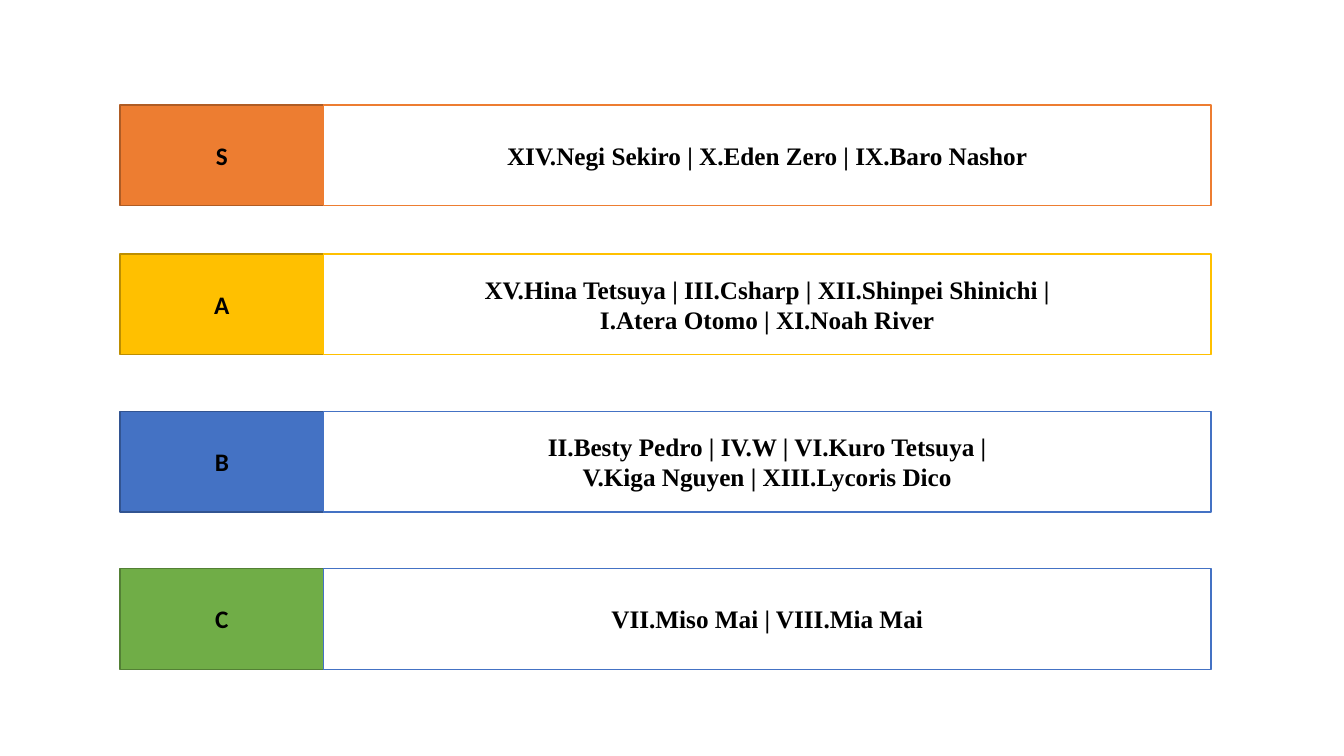
from dataclasses import dataclass

from pptx import Presentation
from pptx.dml.color import RGBColor as RGB
from pptx.enum.shapes import MSO_SHAPE as Shape
from pptx.enum.text import MSO_ANCHOR as Anchor, PP_ALIGN as Align
from pptx.util import Inches, Pt


@dataclass(frozen=True)
class Theme:
    orange: str = "ED7D31"
    orange_dark: str = "AF5C24"
    gold: str = "FFC000"
    gold_dark: str = "BD8E00"
    blue: str = "4472C4"
    blue_dark: str = "325491"
    green: str = "70AD47"
    green_dark: str = "538035"
    white: str = "FFFFFF"
    black: str = "000000"
    label_font: str = "Calibri"
    names_font: str = "Times New Roman"
    size: int = 18
    line: int = 1


T = Theme()

# Grid in inches: two columns, rows at an even pitch with S set slightly lower
LEFT, LABEL_W, NAMES_W = 1.19, 2.02, 8.8
FIRST_TOP, PITCH, ROW_H = 0.96, 1.56, 1
S_OFFSET = 0.08

# Tier, label fill, label line, names line, names by line
TIERS = [
    ("S", T.orange, T.orange_dark, T.orange,
     ["XIV.Negi Sekiro | X.Eden Zero | IX.Baro Nashor"]),
    ("A", T.gold, T.gold_dark, T.gold,
     ["XV.Hina Tetsuya | III.Csharp | XII.Shinpei Shinichi |",
      "I.Atera Otomo | XI.Noah River"]),
    ("B", T.blue, T.blue_dark, T.blue,
     ["II.Besty Pedro | IV.W | VI.Kuro Tetsuya |",
      "V.Kiga Nguyen | XIII.Lycoris Dico"]),
    ("C", T.green, T.green_dark, T.blue,
     ["VII.Miso Mai | VIII.Mia Mai"]),
]


def write(tf, lines, *, font, size=T.size, color=T.black, bold=True):
    """Fill a text frame with centred paragraphs."""
    tf.word_wrap = True
    tf.vertical_anchor = Anchor.MIDDLE
    for i, line in enumerate(lines):
        p = tf.add_paragraph() if i else tf.paragraphs[0]
        p.alignment = Align.CENTER
        r = p.add_run()
        r.text = line
        r.font.name, r.font.size, r.font.bold = font, Pt(size), bold
        r.font.color.rgb = RGB.from_string(color)


def add_box(s, left, top, width, lines, *, fill, line, font):
    """Draw one cell of a tier row."""
    sp = s.shapes.add_shape(Shape.RECTANGLE, Inches(left), Inches(top),
                            Inches(width), Inches(ROW_H))
    sp.shadow.inherit = False
    sp.fill.solid()
    sp.fill.fore_color.rgb = RGB.from_string(fill)
    sp.line.color.rgb = RGB.from_string(line)
    sp.line.width = Pt(T.line)
    write(sp.text_frame, lines, font=font)


def main():
    prs = Presentation()
    prs.slide_width, prs.slide_height = Inches(13.33), Inches(7.5)
    s = prs.slides.add_slide(prs.slide_layouts[6])

    for i, (tier, fill, edge, frame, names) in enumerate(TIERS):
        top = FIRST_TOP + i * PITCH + (S_OFFSET if i == 0 else 0)
        # Tier label, then the names beside it
        add_box(s, LEFT, top, LABEL_W, [tier],
                fill=fill, line=edge, font=T.label_font)
        add_box(s, LEFT + LABEL_W, top, NAMES_W, names,
                fill=T.white, line=frame, font=T.names_font)

    prs.save("out.pptx")


if __name__ == "__main__":
    main()
